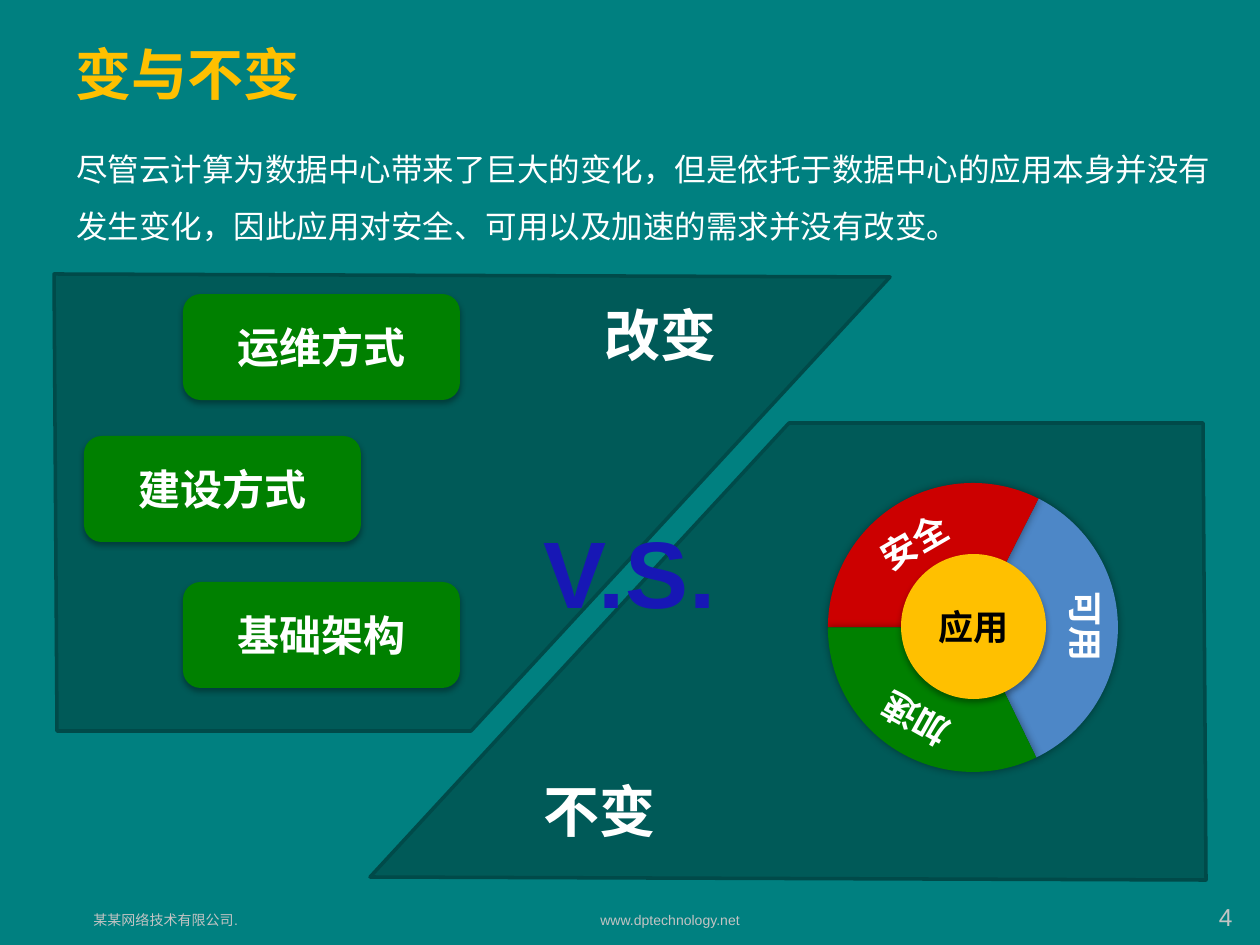
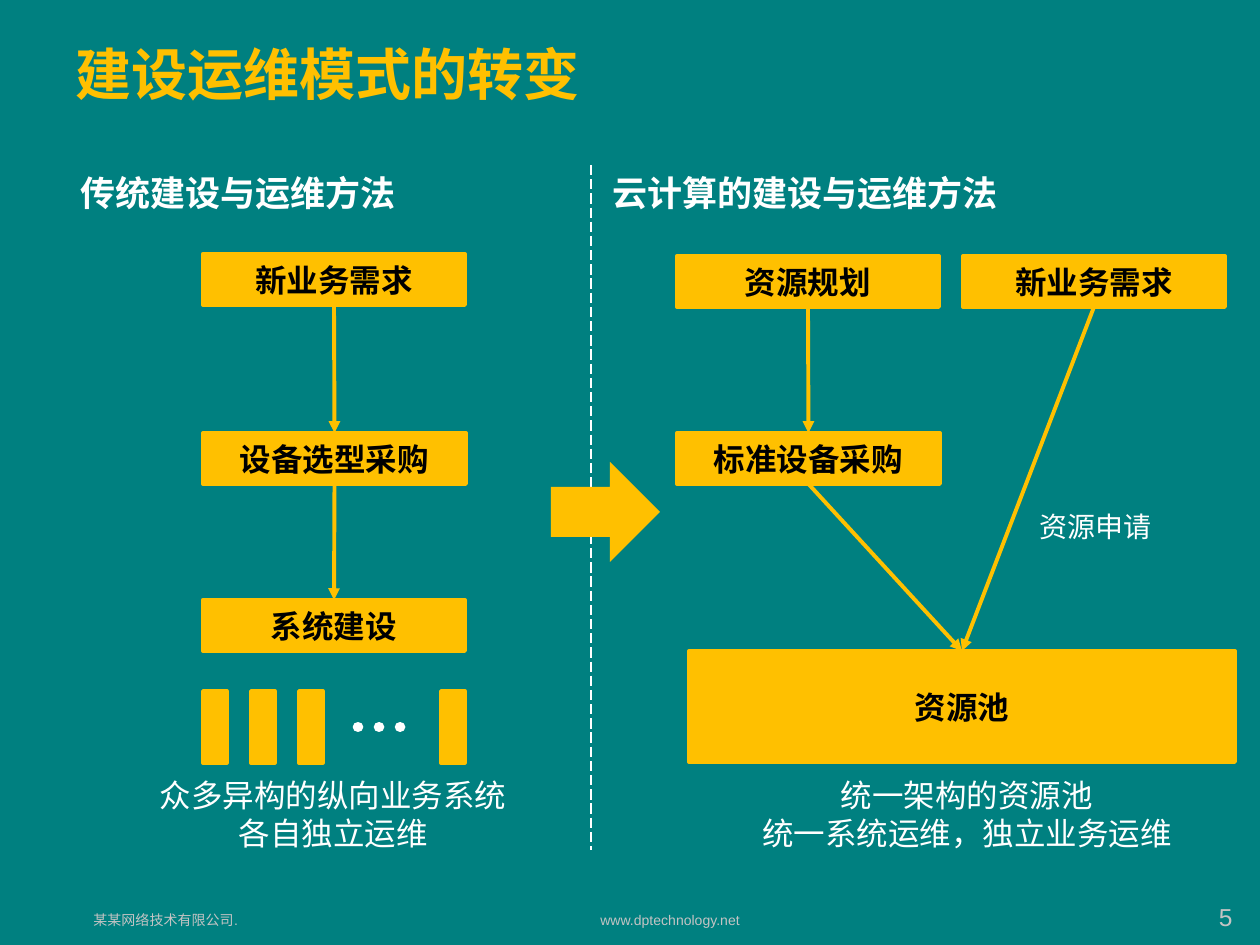
"""Build two slides on what cloud computing changes in a data centre."""
from lxml.etree import SubElement
from pptx import Presentation
from pptx.dml.color import RGBColor
from pptx.enum.dml import MSO_LINE
from pptx.enum.shapes import MSO_CONNECTOR, MSO_SHAPE
from pptx.enum.text import MSO_ANCHOR, PP_ALIGN
from pptx.oxml.ns import qn
from pptx.util import Pt

SCALE = 914400 / 126
WIDE, HIGH = 1260, 945

TEAL = RGBColor(0x00, 0x80, 0x80)
DEEP = RGBColor(0x00, 0x5A, 0x58)
EDGE = RGBColor(0x00, 0x4A, 0x49)
GOLD = RGBColor(0xFF, 0xC0, 0x00)
GREEN = RGBColor(0x00, 0x80, 0x00)
RED = RGBColor(0xCC, 0x00, 0x00)
BLUE = RGBColor(0x4D, 0x87, 0xC7)
INK = RGBColor(0x17, 0x17, 0xB5)
NAVY = RGBColor(0x0D, 0x0D, 0x84)
GREY = RGBColor(0xC4, 0xC4, 0xC4)
WHITE = RGBColor(0xFF, 0xFF, 0xFF)
BLACK = RGBColor(0x00, 0x00, 0x00)

LATIN, HAN = "Arial", "Noto Sans CJK SC"
LEFT, MID, RIGHT = PP_ALIGN.LEFT, PP_ALIGN.CENTER, PP_ALIGN.RIGHT

FOOT = [
    ("某某网络技术有限公司.", (81, 905, 300, 30)),
    ("www.dptechnology.net", (588, 905, 240, 30)),
]

INTRO = ("尽管云计算为数据中心带来了巨大的变化，但是依托于数据中心的应用本身并没有"
         "发生变化，因此应用对安全、可用以及加速的需求并没有改变。")
PANE = [(1206, 880), (1203, 423), (789, 423), (370, 877)]
SIDES = [("改变", (591, 294, 139, 81)), ("不变", (530, 770, 139, 81))]
MODES = [("运维方式", 183, 294), ("建设方式", 84, 436), ("基础架构", 183, 582)]
RING = (828, 483, 290, 289)
HUB = (901, 554, 145, 145)
PARTS = [
    ("可用", BLUE, 297, 64, (1038, 600), 90),
    ("安全", RED, 180, 297, (867, 514), 330),
    ("加速", GREEN, 64, 180, (867, 692), 209),
]

HEADS = [
    ("传统建设与运维方法", (68, 165, 344, 55)),
    ("云计算的建设与运维方法", (600, 165, 415, 55)),
]
STEPS = {
    "need": ("新业务需求", (203, 254, 262, 51)),
    "buy": ("设备选型采购", (203, 433, 263, 51)),
    "build": ("系统建设", (203, 600, 262, 51)),
    "plan": ("资源规划", (677, 256, 262, 51)),
    "stock": ("标准设备采购", (677, 433, 263, 51)),
    "ask": ("新业务需求", (963, 256, 262, 51)),
    "pool": ("资源池", (689, 651, 546, 111)),
}
FLOWS = [("need", "buy"), ("buy", "build"), ("plan", "stock"),
         ("stock", "pool"), ("ask", "pool")]
BARS = [203 + 48 * i for i in range(3)] + [441]
NOTES = [
    ("众多异构的纵向业务系统\n各自独立运维", (115, 770, 436, 90)),
    ("统一架构的资源池\n统一系统运维，独立业务运维", (729, 770, 476, 90)),
]


def emu(*nums):
    return [round(n * SCALE) for n in nums]


def write(shape, text, size, color=WHITE, bold=False, align=LEFT,
          font=LATIN, anchor=MSO_ANCHOR.TOP, wrap=True):
    frame = shape.text_frame
    frame.text = text
    frame.word_wrap = wrap
    frame.vertical_anchor = anchor
    for para in frame.paragraphs:
        para.alignment = align
        for run in para.runs:
            run.font.size, run.font.bold = Pt(size), bold
            run.font.name = font
            run.font.color.rgb = color
            SubElement(run.font._element, qn("a:ea"), typeface=HAN)
    return shape


def label(shapes, text, box, size, **look):
    return write(shapes.add_textbox(*emu(*box)), text, size, **look)


def paint(shape, fill, line=None, width=2.25):
    shape.shadow.inherit = False
    shape.fill.solid()
    shape.fill.fore_color.rgb = fill
    if line is None:
        shape.line.fill.background()
    else:
        shape.line.color.rgb = line
        shape.line.width = Pt(width)
    return shape


def block(shapes, kind, box, fill, line=None, width=2.25):
    return paint(shapes.add_shape(kind, *emu(*box)), fill, line, width)


def shade(shape, alpha=32, blur=3.5, dist=2.2):
    glow = SubElement(shape.element.spPr.find(qn("a:effectLst")),
                      qn("a:outerShdw"), blurRad=str(Pt(blur)),
                      dist=str(Pt(dist)), dir="5400000", rotWithShape="0")
    tone = SubElement(glow, qn("a:srgbClr"), val=str(BLACK))
    SubElement(tone, qn("a:alpha"), val=str(alpha * 1000))
    return shape


def rule(shapes, ends, color, width, dash=None):
    line = shapes.add_connector(MSO_CONNECTOR.STRAIGHT, *emu(*ends))
    line.line.color.rgb = color
    line.line.width = Pt(width)
    if dash:
        line.line.dash_style = dash
    SubElement(line.element.spPr, qn("a:effectLst"))
    return line


def link(shapes, start, end):
    line = rule(shapes, (0, 0, 1, 1), GOLD, 2.25)
    line.begin_connect(start, 2)
    line.end_connect(end, 0)
    SubElement(line.element.spPr.find(qn("a:ln")), qn("a:tailEnd"),
               type="triangle")


def start(deck, title, page):
    slide = deck.slides.add_slide(deck.slide_layouts[5])
    head = slide.shapes.title
    head.left, head.top, head.width, head.height = emu(63, 21, 954, 105)
    write(head, title, 32, GOLD, True, font=HAN, anchor=MSO_ANCHOR.MIDDLE)
    for text, box in FOOT:
        label(slide.shapes, text, box, 8, color=GREY)
    label(slide.shapes, page, (1172, 896, 73, 42), 14, color=GREY, align=RIGHT)
    return slide.shapes


def panes(shapes):
    for pts in (PANE, [(WIDE - x, 1154 - y) for x, y in PANE]):
        path = shapes.build_freeform(*pts[0], scale=SCALE)
        path.add_line_segments(pts[1:], close=True)
        paint(path.convert_to_shape(), DEEP, EDGE, 2)


def wheel(shapes):
    for _, fill, first, last, _, _ in PARTS:
        slice = block(shapes, MSO_SHAPE.ARC, RING, fill)
        slice.adjustments[0] = first * 0.6
        slice.adjustments[1] = last * 0.6
        shade(slice, 40, 5, 0)
    hub = shade(block(shapes, MSO_SHAPE.OVAL, HUB, GOLD))
    write(hub, "应用", 20, BLACK, True, MID, HAN, MSO_ANCHOR.MIDDLE)
    for text, _, _, _, spot, turn in PARTS:
        tag = label(shapes, text, (*spot, 96, 55), 20, bold=True, font=HAN,
                    wrap=False)
        tag.rotation = turn


def change(deck):
    shapes = start(deck, "变与不变", "4")
    panes(shapes)
    versus = label(shapes, "V.S.", (509, 508, 242, 127), 54, color=INK,
                   bold=True, align=MID, wrap=False)
    font = versus.text_frame.paragraphs[0].runs[0].font
    font._element.set("spc", "50")
    font.fill.gradient()
    font.fill.gradient_angle = 270
    for stop, color, pos in zip(font.fill.gradient_stops, (INK, NAVY), (0.25, 1)):
        stop.color.rgb, stop.position = color, pos
    for text, box in SIDES:
        label(shapes, text, box, 32, bold=True, align=MID, font=HAN, wrap=False)
    for text, x, y in MODES:
        card = block(shapes, MSO_SHAPE.ROUNDED_RECTANGLE, (x, y, 277, 106), GREEN)
        write(shade(card), text, 24, bold=True, align=MID,
              anchor=MSO_ANCHOR.MIDDLE)
    wheel(shapes.add_group_shape().shapes)
    intro = label(shapes, INTRO, (64, 125, 1171, 120), 18)
    intro.text_frame.paragraphs[0].line_spacing = 1.5


def shift(deck):
    shapes = start(deck, "建设运维模式的转变", "5")
    rule(shapes, (591, 165, 591, 850), WHITE, 0.75, MSO_LINE.LONG_DASH)
    for text, box in HEADS:
        label(shapes, text, box, 20, bold=True, wrap=False)
    nodes = {}
    for key, (text, box) in STEPS.items():
        nodes[key] = block(shapes, MSO_SHAPE.RECTANGLE, box, GOLD, GOLD)
        write(nodes[key], text, 18, BLACK, True, MID, anchor=MSO_ANCHOR.MIDDLE)
    for first, last in FLOWS:
        link(shapes, nodes[first], nodes[last])
    block(shapes, MSO_SHAPE.RIGHT_ARROW, (551, 462, 109, 100), GOLD)
    label(shapes, "资源申请", (1027, 503, 139, 47), 16, wrap=False)
    for x in BARS:
        block(shapes, MSO_SHAPE.RECTANGLE, (x, 691, 24, 72), GOLD, GOLD, 2)
    dots = rule(shapes, (358, 727, 417, 727), WHITE, 6, MSO_LINE.ROUND_DOT)
    dots.element.spPr.find(qn("a:ln")).set("cap", "rnd")
    for text, box in NOTES:
        label(shapes, text, box, 18, align=MID)


def main():
    deck = Presentation()
    deck.slide_width, deck.slide_height = emu(WIDE, HIGH)
    back = deck.slide_master.background.fill
    back.solid()
    back.fore_color.rgb = TEAL
    change(deck)
    shift(deck)
    deck.save("out.pptx")


if __name__ == "__main__":
    main()
